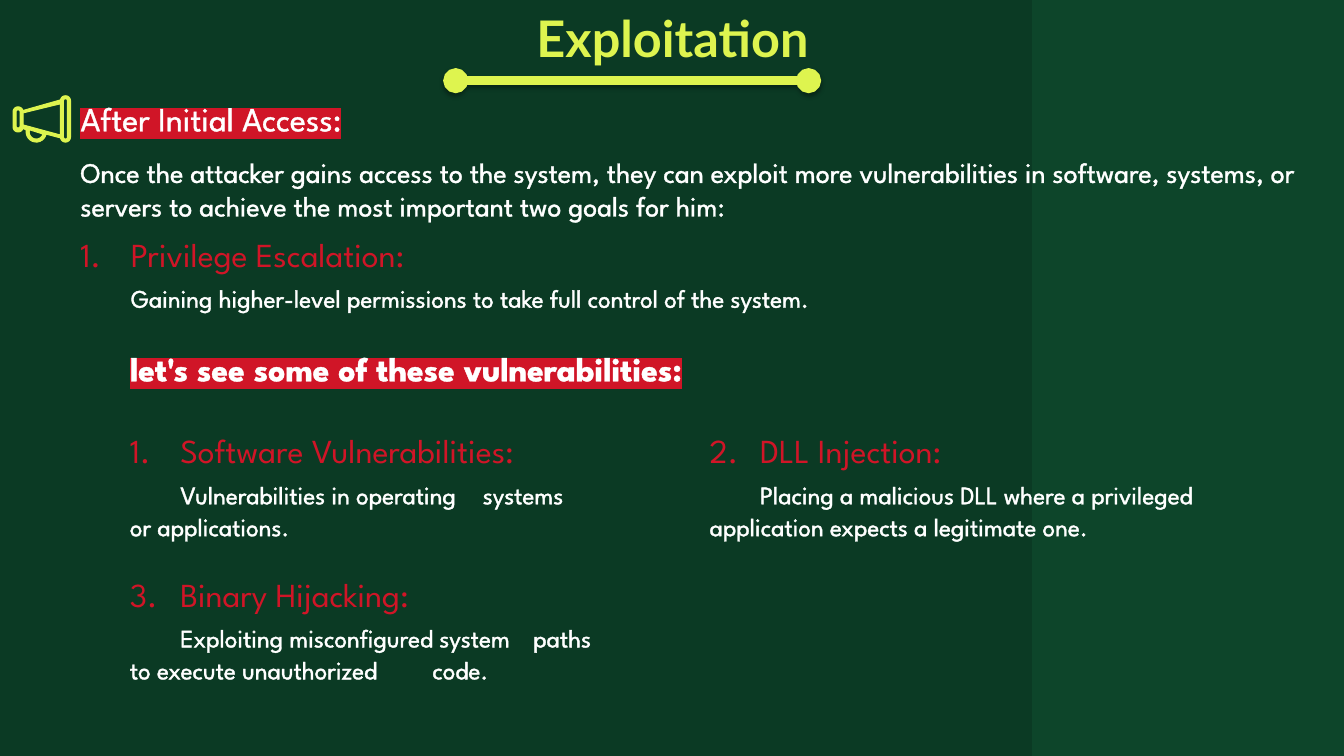
import math

from lxml import etree
from pptx import Presentation
from pptx import util as u
from pptx.dml.color import RGBColor
from pptx.enum import shapes, text
from pptx.oxml import ns

WIDTH, HEIGHT = u.Inches(13.33), u.Inches(7.5)
DARK, BAND, LIME, RED, WHITE = "0B3A24", "125F3B", "DEF44F", "D01527", "FFFFFF"
FONT = "League Spartan"
TAB = 0.5  # inches between tab stops
LEFT, INDENT, RIGHT = 0.7, 1.19, 6.94  # text columns


def colour(value):
    return RGBColor.from_string(value)


def add_xml(parent, tag, **attributes):
    return etree.SubElement(parent, ns.qn(tag), attributes)


def paint(target, value):
    target.solid()
    target.fore_color.rgb = colour(value)


def style(run, size, value, font=FONT, bold=False, outline=WHITE, mark=None):
    run.font.size, run.font.bold, run.font.name = u.Pt(size), bold, font
    run.font.color.rgb = colour(value)
    properties = run.font._element
    edge = etree.Element(ns.qn("a:ln"), w=str(u.Pt(0.75)))
    add_xml(add_xml(edge, "a:solidFill"), "a:srgbClr", val=outline)
    properties.insert(0, edge)
    if mark:
        highlight = etree.Element(ns.qn("a:highlight"))
        add_xml(highlight, "a:srgbClr", val=mark)
        properties.find(ns.qn("a:latin")).addprevious(highlight)


def add_run(paragraph, words, size, value, **options):
    run = paragraph.add_run()
    run.text = words
    style(run, size, value, **options)


def text_frame(slide, left, top, width, height):
    box = slide.shapes.add_textbox(*map(u.Inches, (left, top, width, height)))
    box.text_frame.word_wrap = True
    return box.text_frame


def add_topic(slide, left, top, width, height, heading, detail):
    """A red numbered heading with a white explanation on the next line."""
    topic = text_frame(slide, left, top, width, height).paragraphs[0]
    stops = add_xml(topic._p.get_or_add_pPr(), "a:tabLst")
    for stop in range(1, 13):
        add_xml(stops, "a:tab", pos=str(u.Inches(TAB * stop)), algn="l")
    add_run(topic, heading, 24, RED)
    topic.add_line_break()
    add_run(topic, "\t", 24, RED)
    add_run(topic, detail, 18, WHITE)


def add_band(slide):
    left = int(WIDTH * 0.768)
    band = slide.shapes.add_shape(
        shapes.MSO_SHAPE.RECTANGLE, left, 0, WIDTH - left, HEIGHT)
    band.shadow.inherit = False
    paint(band.fill, BAND)
    band.line.fill.background()
    tint = band._element.spPr.find(".//" + ns.qn("a:srgbClr"))
    add_xml(tint, "a:alpha", val="30000")


def add_title(slide, words):
    title = slide.shapes.title
    title.left, title.top, title.width, title.height = map(
        u.Inches, (2.79, 0.06, 7.76, 0.63))
    frame = title.text_frame
    frame.vertical_anchor = text.MSO_ANCHOR.MIDDLE
    frame.margin_top = frame.margin_bottom = u.Inches(0.1)
    frame.paragraphs[0].alignment = text.PP_ALIGN.CENTER
    add_run(frame.paragraphs[0], words, 36, LIME,
            font="Lato", bold=True, outline=LIME)


def add_underline(slide):
    underline = slide.shapes.add_connector(
        shapes.MSO_CONNECTOR.STRAIGHT,
        *map(u.Inches, (4.52, 0.8, 8.02, 0.8)))
    underline.line.width = u.Pt(6)
    paint(underline.line.fill, LIME)
    edge = underline.line._get_or_add_ln()
    for end in ("a:headEnd", "a:tailEnd"):
        add_xml(edge, end, type="oval")
    effects = add_xml(underline._element.spPr, "a:effectLst")
    shadow = add_xml(effects, "a:outerShdw", blurRad=str(u.Pt(3)),
                     dist=str(u.Pt(2)), dir="5400000", rotWithShape="0")
    add_xml(add_xml(shadow, "a:srgbClr", val="000000"), "a:alpha", val="35000")


def arc(x, y, radius, start, end, steps=12):
    angles = [math.radians(start + (end - start) * i / steps)
              for i in range(steps + 1)]
    return [(x + radius * math.cos(a), y + radius * math.sin(a))
            for a in angles]


def capsule(x, top, bottom, radius):
    return arc(x, top, radius, 180, 360) + arc(x, bottom, radius, 0, 180)


def add_megaphone(slide):
    outline = (arc(0.65, 1, 0.05, 190, 360) + arc(0.65, 1.36, 0.05, 0, 170)
               + arc(0.36, 1.31, 0.1, 12, 185) + [(0.26, 1.29)]
               + arc(0.18, 1.26, 0.05, 15, 180)
               + arc(0.18, 1.11, 0.05, 180, 345))
    horn = [(0.6, 1.03), (0.6, 1.34), (0.23, 1.24), (0.23, 1.12)]
    handle = [(0.3, 1.29)] + arc(0.36, 1.31, 0.07, 17, 195)
    mouthpiece = capsule(0.18, 1.11, 1.25, 0.02)
    bell = capsule(0.65, 1, 1.36, 0.02)

    builder = None
    for contour in (outline, horn, handle, mouthpiece, bell):
        points = [(u.Inches(x), u.Inches(y)) for x, y in contour]
        if builder is None:
            builder = slide.shapes.build_freeform(*points[0])
        else:
            builder.move_to(*points[0])
        builder.add_line_segments(points[1:], close=True)
    megaphone = builder.convert_to_shape()
    megaphone.shadow.inherit = False
    paint(megaphone.fill, LIME)
    paint(megaphone.line.fill, LIME)
    megaphone.line.width = u.Pt(0.75)


def main():
    deck = Presentation()
    deck.slide_width, deck.slide_height = WIDTH, HEIGHT
    slide = deck.slides.add_slide(deck.slide_layouts[5])
    paint(slide.background.fill, DARK)

    # Backdrop and heading
    add_band(slide)
    add_underline(slide)
    add_title(slide, "Exploitation")
    add_megaphone(slide)

    # Introduction
    intro = text_frame(slide, LEFT, 0.92, 12.63, 1.35)
    add_run(intro.paragraphs[0], "After Initial Access:", 24, WHITE, mark=RED)
    goals = intro.add_paragraph()
    goals.space_before = u.Pt(12)
    add_run(goals, "Once the attacker gains access to the system, they can "
            "exploit more vulnerabilities in software, systems, or servers to "
            "achieve the most important two goals for him:", 20, WHITE)

    # First goal
    add_topic(slide, LEFT, 2.27, 12.63, 0.91, "1.\tPrivilege Escalation:",
              "Gaining higher-level permissions to take full control of the "
              "system.")
    prompt = text_frame(slide, INDENT, 3.4, 12, 0.5).paragraphs[0]
    add_run(prompt, "let's see some of these vulnerabilities:", 24, WHITE,
            bold=True, mark=RED)

    # Vulnerabilities
    add_topic(slide, INDENT, 4.22, 4.69, 1.21, "1.\tSoftware Vulnerabilities:",
              "Vulnerabilities in operating \tsystems or applications.")
    add_topic(slide, RIGHT, 4.22, 6.2, 1.21, "2.\tDLL Injection:",
              "Placing a malicious DLL where a privileged \tapplication "
              "expects a legitimate one.")
    add_topic(slide, INDENT, 5.64, 4.91, 1.21, "3.\tBinary Hijacking:",
              "Exploiting misconfigured system \tpaths to execute "
              "unauthorized \tcode.")
    deck.save("out.pptx")


if __name__ == "__main__":
    main()
